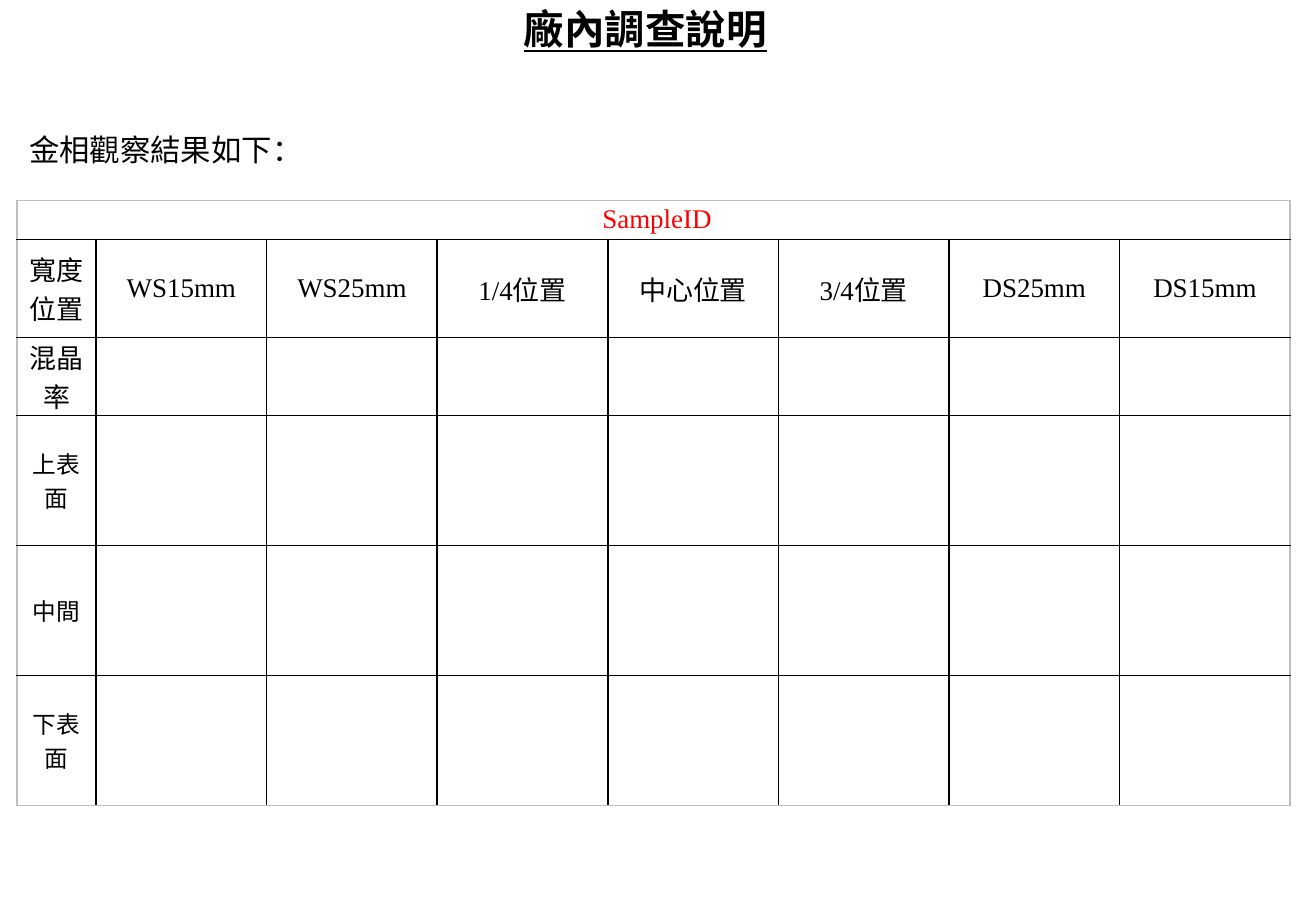
from dataclasses import dataclass

from lxml.etree import SubElement
from pptx import Presentation
from pptx.dml.color import RGBColor
from pptx.enum.text import MSO_ANCHOR, MSO_AUTO_SIZE, PP_ALIGN
from pptx.oxml.ns import qn
from pptx.util import Inches, Pt

WIDTH, HEIGHT = Inches(10.83), Inches(7.5)
LATIN, CJK = "Times New Roman", "Noto Sans CJK SC"
BLACK, RED, GREY = "000000", "FF0000", "BFBFBF"


@dataclass
class Style:
    size: int
    font: str = LATIN
    color: str = BLACK
    bold: bool = False
    underline: bool = False
    align: PP_ALIGN = PP_ALIGN.CENTER


@dataclass
class Label:
    text: str
    left: float  # shares of the slide's size
    top: float
    width: float
    height: float
    style: Style
    wrap: bool = True
    spacing: int | None = None


@dataclass
class Row:
    height: float
    texts: list[str]
    style: Style


def rgb(color: str) -> RGBColor:
    return RGBColor.from_string(color)


def write(p, text: str, style: Style) -> None:
    p.text = text
    p.alignment = style.align
    f = p.font
    f.size, f.name, f.bold, f.underline = Pt(style.size), style.font, style.bold, style.underline
    f.color.rgb = rgb(style.color)
    # East Asian font
    SubElement(p._p.pPr.find(qn("a:defRPr")), qn("a:ea"), typeface=CJK)


def draw_label(s, label: Label) -> None:
    sp = s.shapes.add_textbox(int(WIDTH * label.left), int(HEIGHT * label.top),
                              int(WIDTH * label.width), int(HEIGHT * label.height))
    tf = sp.text_frame
    tf.word_wrap = label.wrap
    tf.auto_size = MSO_AUTO_SIZE.SHAPE_TO_FIT_TEXT
    p = tf.paragraphs[0]
    write(p, label.text, label.style)
    if label.spacing:
        p.line_spacing = Pt(label.spacing)


def set_borders(cell, colors: dict[str, str]) -> None:
    tcPr = cell._tc.get_or_add_tcPr()
    for i, (side, color) in enumerate(colors.items()):
        ln = SubElement(tcPr, qn(f"a:ln{side}"), w=str(Pt(1)))
        SubElement(SubElement(ln, qn("a:solidFill")), qn("a:srgbClr"), val=color)
        tcPr.insert(i, ln)


def draw_table(s, rows: list[Row], widths: list[float]) -> None:
    last_row, last_col = len(rows) - 1, len(widths) - 1
    table = s.shapes.add_table(
        len(rows), len(widths), Inches(0.14), Inches(1.65),
        Inches(sum(widths)), Inches(sum(row.height for row in rows))).table
    table.first_row = table.horz_banding = False
    for column, width in zip(table.columns, widths):
        column.width = Inches(width)
    for i, row in enumerate(rows):
        table.rows[i].height = Inches(row.height)
        for j in range(len(widths)):
            cell = table.cell(i, j)
            cell.fill.background()
            cell.vertical_anchor = MSO_ANCHOR.MIDDLE
            cell.margin_left = cell.margin_right = Inches(0.08)
            cell.margin_top = cell.margin_bottom = 0
            set_borders(cell, {
                "L": GREY if j == 0 else BLACK,
                "R": GREY if j == last_col or i == 0 else BLACK,
                "T": GREY if i == 0 else BLACK,
                "B": GREY if i == last_row else BLACK,
            })
            if j < len(row.texts):
                write(cell.text_frame.paragraphs[0], row.texts[j], row.style)
    table.cell(0, 0).merge(table.cell(0, last_col))


HEADER, SIDE = Style(16), Style(14)
LABELS = [
    Label("廠內調查說明", 0.388, 0.007, 0.205, 0.059,
          Style(24, CJK, bold=True, underline=True), wrap=False, spacing=24),
    Label("金相觀察結果如下：", 0.013, 0.137, 0.356, 0.053,
          Style(18, align=PP_ALIGN.LEFT)),
]
ROWS = [
    Row(0.32, [" SampleID"], Style(16, color=RED)),
    Row(0.81, ["寬度位置", "WS15mm", "WS25mm", "1/4位置", "中心位置",
               "3/4位置", "DS25mm", "DS15mm"], HEADER),
    Row(0.56, ["混晶率"], HEADER),
    *(Row(1.07, [name], SIDE) for name in ("上表面", "中間", "下表面")),
]


def main() -> None:
    prs = Presentation()
    prs.slide_width, prs.slide_height = WIDTH, HEIGHT
    s = prs.slides.add_slide(prs.slide_layouts[6])

    # Results table
    draw_table(s, ROWS, [0.65] + [1.404] * 7)

    # Title and lead-in
    for label in LABELS:
        draw_label(s, label)

    prs.save("out.pptx")


if __name__ == "__main__":
    main()
